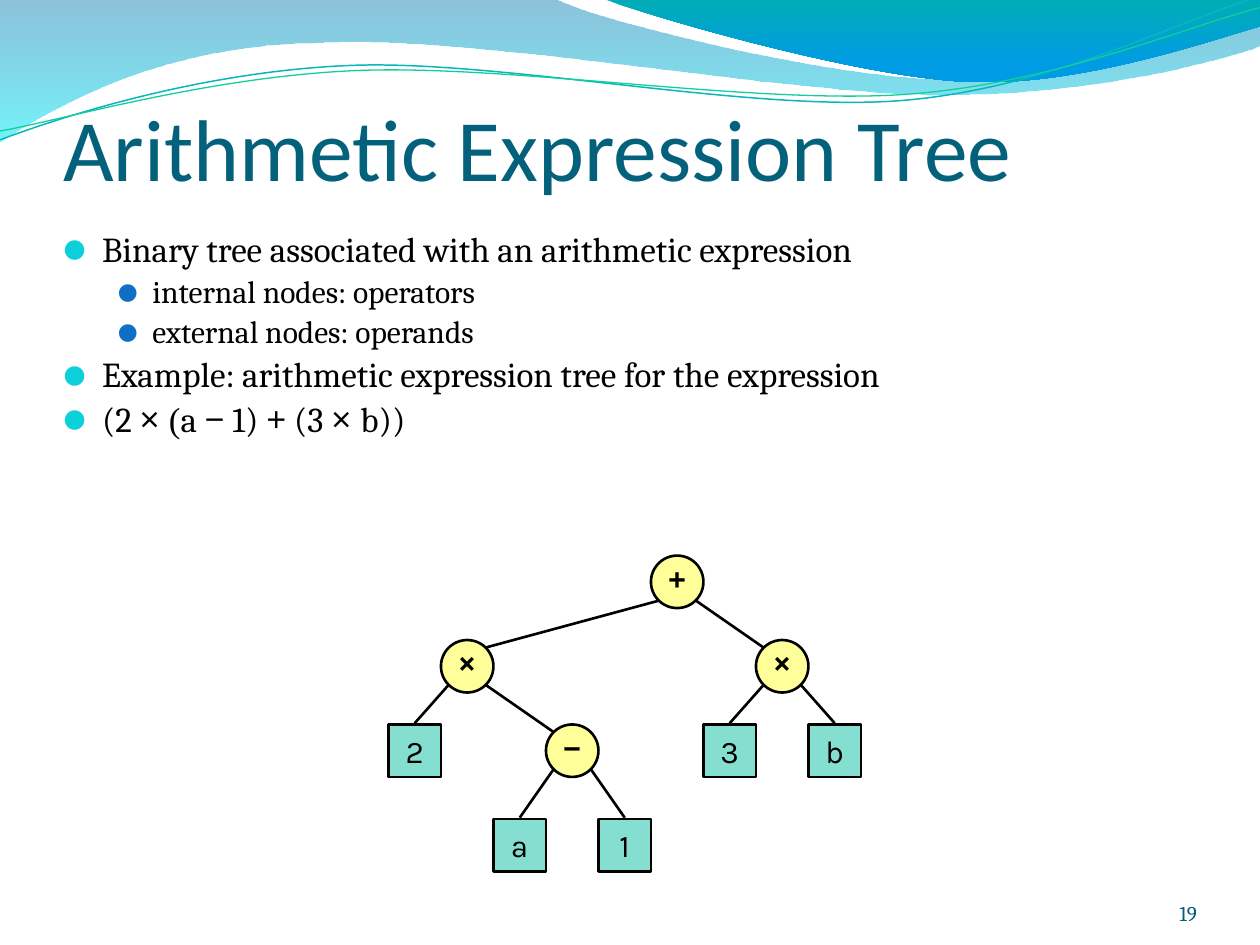
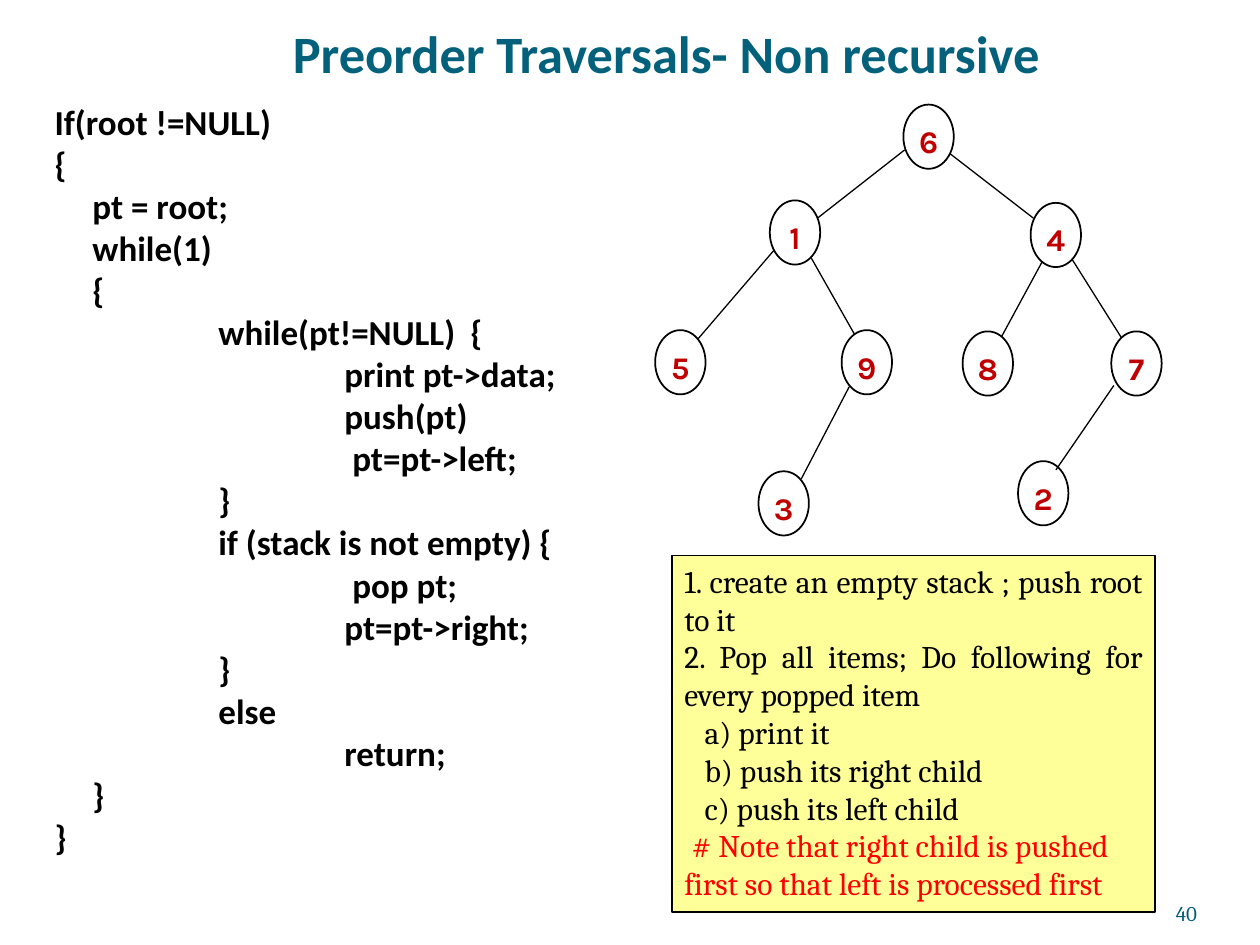
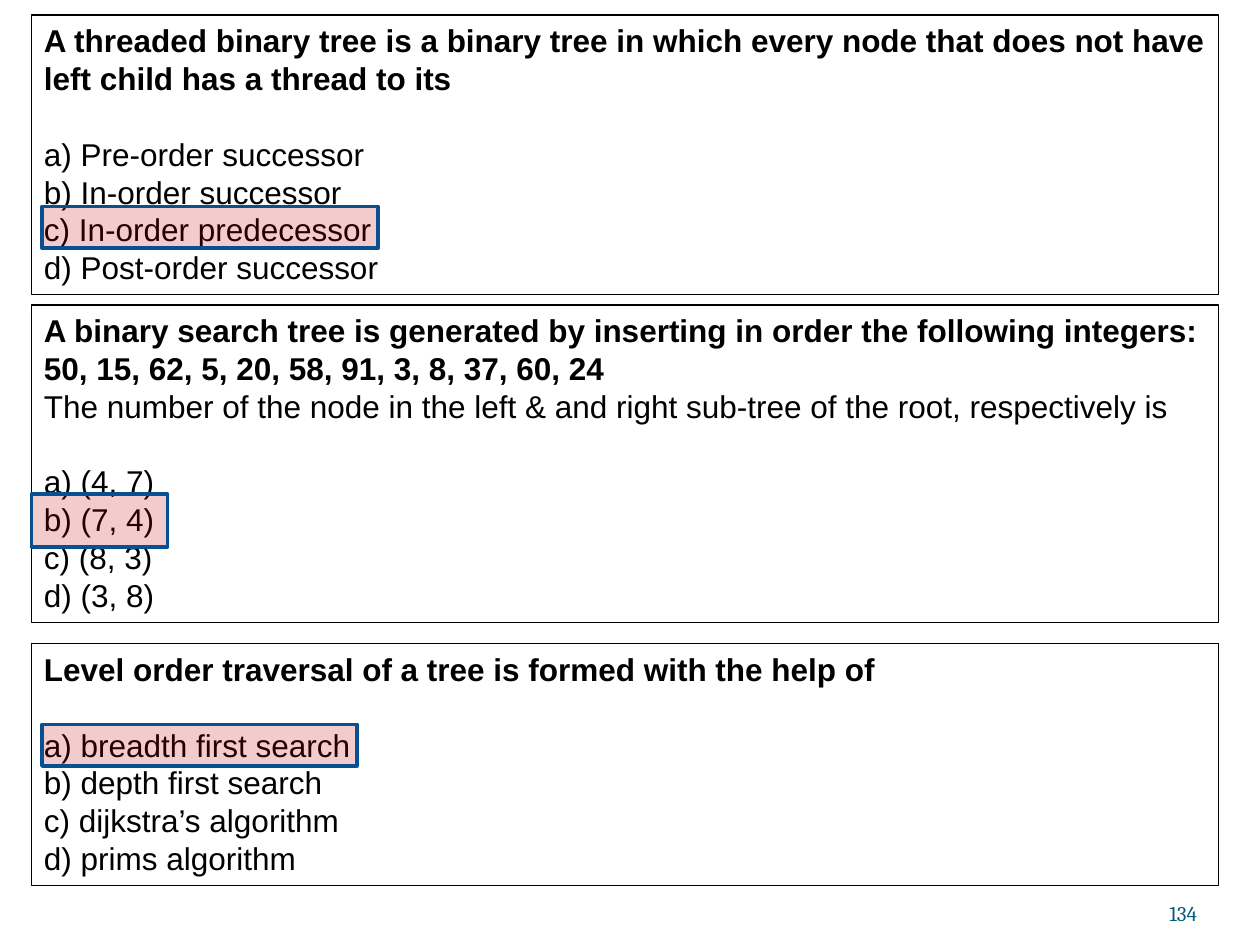
import math

import pptx
import pptx.dml.color
import pptx.enum.shapes
import pptx.enum.text
import pptx.oxml.ns
import pptx.util
from lxml import etree

RGBColor = pptx.dml.color.RGBColor
Inches = pptx.util.Inches
Pt = pptx.util.Pt
Shape = pptx.enum.shapes.MSO_SHAPE
Align = pptx.enum.text.PP_ALIGN
Anchor = pptx.enum.text.MSO_ANCHOR
qn = pptx.oxml.ns.qn

BLACK = RGBColor(0x00, 0x00, 0x00)
TITLE_BLUE = RGBColor(0x04, 0x61, 0x7B)
NUMBER_BLUE = RGBColor(0x04, 0x5C, 0x75)
BULLET_COLORS = (RGBColor(0x0B, 0xD0, 0xD9), RGBColor(0x0F, 0x6F, 0xC6))
YELLOW = RGBColor(0xFF, 0xFF, 0x99)
MINT = RGBColor(0x85, 0xDF, 0xD0)
DARK_RED = RGBColor(0xC0, 0x00, 0x00)
NOTE_RED = RGBColor(0xFF, 0x00, 0x00)
FRAME_BLUE = RGBColor(0x08, 0x50, 0x91)
WAVE_STEEL = RGBColor(0x00, 0x79, 0xAF)
WAVE_CYAN = RGBColor(0x00, 0xEB, 0xF8)
WAVE_TEAL = RGBColor(0x00, 0xAD, 0xB6)
WAVE_BLUE = RGBColor(0x00, 0x9B, 0xE5)
LINE_TEAL = RGBColor(0x09, 0xB6, 0xBE)
LINE_GREEN = RGBColor(0x10, 0xCF, 0x9B)


def style_shape(shape, fill, line, width):
    """Give a shape a fill and an outline, without shadow or text margins."""
    shape.shadow.inherit = False
    if fill is None:
        shape.fill.background()
    else:
        shape.fill.solid()
        shape.fill.fore_color.rgb = fill
    shape.line.color.rgb = line
    shape.line.width = Pt(width)
    frame = shape.text_frame
    frame.margin_left = frame.margin_right = frame.margin_top = frame.margin_bottom = 0


def style_text(paragraph, font, size, color=BLACK, bold=False, align=Align.LEFT):
    paragraph.alignment = align
    for span in paragraph.runs:
        span.font.name = font
        span.font.size = Pt(size)
        span.font.color.rgb = color
        span.font.bold = bold


deck = pptx.Presentation()
deck.slide_width, deck.slide_height = Inches(10), Inches(7.5)
list_layout, blank_layout = deck.slide_layouts[1], deck.slide_layouts[6]
expression_page = deck.slides.add_slide(list_layout)
preorder_page = deck.slides.add_slide(list_layout)
quiz_page = deck.slides.add_slide(blank_layout)

# Titles and places of the list placeholders
headings = [
    (expression_page, "Arithmetic Expression Tree", (0.5, 0.33, 9, 1.25), 50, False, Align.LEFT,
     (0.41, 1.79, 9.25, 2.04)),
    (preorder_page, "Preorder Traversals- Non recursive", (0.75, -0.08, 9.08, 0.75), 30, True,
     Align.CENTER, (1 / 3, 0.75, 5.42, 6.33)),
]
for page, heading, title_place, size, bold, align, body_place in headings:
    title, body = page.shapes.title, page.placeholders[1]
    for holder, place in ((title, title_place), (body, body_place)):
        holder.left, holder.top, holder.width, holder.height = map(Inches, place)
        holder.text_frame.auto_size = pptx.enum.text.MSO_AUTO_SIZE.NONE
    frame = title.text_frame
    frame.text = heading
    frame.vertical_anchor = Anchor.BOTTOM
    frame.margin_left = frame.margin_right = frame.margin_bottom = 0
    style_text(frame.paragraphs[0], "Calibri", size, TITLE_BLUE, bold, align)

# Waves: a start, then straight runs (one point) and Bézier curves (three points)
WAVE_CENTER = complex(4.99, 0.58)
waves = [
    ([[(0, -0.01)], [(4.4, -0.01)], [(4.76, 0.17), (6.64, 0.63), (7.58, 0.63)],
      [(8.53, 0.63), (9.58, 0.26), (10, 0.09)], [(10.01, 0.36)],
      [(9.83, 0.44), (8.7, 0.76), (7.46, 0.75)], [(6.22, 0.75), (3.82, 0.28), (2.57, 0.34)],
      [(1.29, 0.35), (0.46, 0.83), (-0.01, 1.13)]],
     [(WAVE_STEEL, 0, 45), (WAVE_CYAN, 1, 55)], None, 0),
    ([[(4.79, -0.01)], [(5.09, 0.11), (6.82, 0.62), (7.69, 0.65)],
      [(8.56, 0.69), (9.61, 0.32), (10, 0.21)], [(10, 0)]],
     [(WAVE_TEAL, 0, 100), (WAVE_BLUE, 0.8, 100)], None, 0),
    ([[(0, 1.11)], [(0.48, 0.93), (1.58, 0.57), (2.77, 0.52)],
      [(3.95, 0.47), (5.93, 0.89), (7.13, 0.8)], [(8.33, 0.71), (9.38, 0.15), (9.98, -0.02)]],
     None, (LINE_TEAL, 0.85), -2.7),
    ([[(0, 1.04)], [(0.47, 0.96), (1.64, 0.61), (2.83, 0.56)],
      [(4.03, 0.51), (5.97, 0.83), (7.17, 0.75)], [(8.36, 0.67), (9.41, 0.21), (10, 0.06)]],
     None, (LINE_GREEN, 0.75), -2.7),
]
for steps, stops, stroke, tilt in waves:
    angle = math.radians(-tilt)
    turn = complex(math.cos(angle), math.sin(angle))
    level_steps = []
    for step in steps:
        turned = [(complex(x, y) - WAVE_CENTER) * turn + WAVE_CENTER for x, y in step]
        level_steps.append([(Inches(point.real), Inches(point.imag)) for point in turned])
    ends = [step[-1] for step in level_steps]
    builder = expression_page.shapes.build_freeform(*ends[0])
    builder.add_line_segments(ends[1:], close=stops is not None)
    wave = builder.convert_to_shape()
    for segment, step in zip(list(wave._element.iter(qn("a:lnTo"))), level_steps[1:]):
        if len(step) == 3:
            curve = etree.Element(qn("a:cubicBezTo"))
            for x, y in step:
                etree.SubElement(curve, qn("a:pt"), x=str(x - wave.left), y=str(y - wave.top))
            segment.getparent().replace(segment, curve)
    wave.rotation = tilt
    wave.shadow.inherit = False
    if stops:
        wave.line.fill.background()
        wave.fill.gradient()
        wave.fill.gradient_angle = 270
        for stop, (color, position, _) in zip(wave.fill.gradient_stops, stops):
            stop.color.rgb = color
            stop.position = position
        for node, (_, _, opacity) in zip(wave._element.iter(qn("a:srgbClr")), stops):
            etree.SubElement(node, qn("a:alpha"), val=str(opacity * 1000))
    else:
        wave.fill.background()
        wave.line.color.rgb, wave.line.width = stroke[0], Pt(stroke[1])
    expression_page.shapes.title._element.addprevious(wave._element)

# Bullet list of the expression slide
bullets = [
    (0, "Binary tree associated with an arithmetic expression"),
    (1, "internal nodes: operators"),
    (1, "external nodes: operands"),
    (0, "Example: arithmetic expression tree for the expression"),
    (0, ""),
]
formula = [("(2 ", "Cambria"), ("× ", "Open Sans"), ("(", "Times New Roman"), ("a ", "Cambria"),
           ("−", "Open Sans"), (" 1) ", "Cambria"), ("+", "Open Sans"), (" (3 ", "Cambria"),
           ("× ", "Open Sans"), ("b))", "Cambria")]
frame = expression_page.placeholders[1].text_frame
frame.text = "\n".join(text for _, text in bullets)
for text, _ in formula:
    frame.paragraphs[-1].add_run().text = text
for i, (para, (level, _)) in enumerate(zip(frame.paragraphs, bullets)):
    para.level = level
    para.line_spacing = 0.9
    para.space_before = Pt((4, 3.6)[level] if i else 0)
    style_text(para, "Cambria", (20, 18)[level])
    properties = para._p.get_or_add_pPr()
    properties.set("marL", str(Inches((0.3, 0.7)[level])))
    properties.set("indent", str(-Inches((0.3, 0.27)[level])))
    bullet_color = etree.SubElement(properties, qn("a:buClr"))
    etree.SubElement(bullet_color, qn("a:srgbClr"), val=str(BULLET_COLORS[level]))
    etree.SubElement(properties, qn("a:buChar"), char="⚫")
for span, (_, font) in zip(frame.paragraphs[-1].runs, formula):
    span.font.name = font

# Expression tree: label, column, row, parent; parents come before children
COLUMN = NODE = 10 / 24
TREE_LEFT, ROW_TOPS = 7.4 * COLUMN, (4.41, 5.08, 5.75, 6.5)
DIAGONAL = 0.15
expression_nodes = [
    ("+", 5, 0, None), ("×", 7, 1, 0), ("×", 1, 1, 0), ("−", 3, 2, 2), ("2", 0, 2, 2),
    ("a", 2, 3, 3), ("1", 4, 3, 3), ("3", 6, 2, 1), ("b", 8, 2, 1),
]
expression_tree = expression_page.shapes.add_group_shape().shapes
edges = []
centers = []
for label, column, row, parent in expression_nodes:
    left, top = TREE_LEFT + column * COLUMN, ROW_TOPS[row]
    operator = label in "+×−"
    node = expression_tree.add_shape(
        Shape.OVAL if operator else Shape.RECTANGLE,
        Inches(left), Inches(top), Inches(NODE), Inches(NODE))
    style_shape(node, YELLOW if operator else MINT, BLACK, 1.5)
    frame = node.text_frame
    frame.text = label
    frame.vertical_anchor = Anchor.MIDDLE
    frame.word_wrap = False
    frame.margin_bottom = Inches(0.05 if operator else 0)
    style_text(frame.paragraphs[0], "Open Sans" if operator else "Karla", 18, bold=operator,
               align=Align.CENTER)
    x, y = left + NODE / 2, top + NODE / 2
    centers.append((x, y))
    if parent is not None:
        parent_x, parent_y = centers[parent]
        shift = math.copysign(DIAGONAL, x - parent_x)
        end = (x - shift, y - DIAGONAL) if operator else (x, top - 0.01)
        edges.append((expression_tree, 1.5, (parent_x + shift, parent_y + DIAGONAL, *end)))

# Code of the traversal: indent step and line
CODE_INDENTS = (0, 0.3, 1.3, 2.3)
code = [
    (0, "If(root !=NULL)"), (0, "{"), (1, "pt = root;"), (1, "while(1)"), (1, "{"),
    (2, "while(pt!=NULL) \t{"), (3, "print pt->data;"), (3, "push(pt)"), (3, " pt=pt->left;"),
    (2, "}"), (2, "if (stack is not empty) {"), (3, " pop pt;"), (3, "pt=pt->right;"), (2, "}"),
    (2, "else"), (3, "return;"), (1, "}"), (0, "}"),
]
frame = preorder_page.placeholders[1].text_frame
frame.text = "\n".join(text for _, text in code)
for para, (step, _) in zip(frame.paragraphs, code):
    para.space_before = 0
    para.line_spacing = Pt(24)
    style_text(para, "Calibri", 20, bold=True)
    properties = para._p.get_or_add_pPr()
    properties.set("marL", str(Inches(CODE_INDENTS[step])))
    properties.set("indent", "0")
    etree.SubElement(properties, qn("a:buNone"))

# Tree to traverse: left and top of each node, then the ends of each edge
NODE_WIDTH, NODE_HEIGHT = 0.4, 0.51
LABEL_WIDTH, LABEL_HEIGHT = 0.46, 0.41
traversal_nodes = [
    ("6", 7.17, 0.83), ("1", 6.11, 1.59), ("4", 8.18, 1.61), ("5", 5.2, 2.62), ("9", 6.68, 2.62),
    ("3", 6.02, 3.74), ("2", 8.08, 3.66), ("7", 8.82, 2.63), ("8", 7.64, 2.63),
]
traversal_edges = [
    (7.18, 1.19, 6.49, 1.73), (7.54, 1.22, 8.2, 1.73), (6.14, 1.99, 5.54, 2.69),
    (6.44, 2.05, 6.78, 2.65), (8.27, 2.08, 7.95, 2.67), (8.51, 2.06, 8.9, 2.68),
    (8.84, 3.06, 8.38, 3.73), (6.74, 3.07, 6.36, 3.8),
]
traversal_tree = preorder_page.shapes.add_group_shape().shapes
for label, left, top in traversal_nodes:
    node = traversal_tree.add_shape(
        Shape.OVAL, Inches(left), Inches(top), Inches(NODE_WIDTH), Inches(NODE_HEIGHT))
    style_shape(node, None, BLACK, 1)
    box = traversal_tree.add_textbox(
        Inches(left + (NODE_WIDTH - LABEL_WIDTH) / 2), Inches(top + 0.09),
        Inches(LABEL_WIDTH), Inches(LABEL_HEIGHT))
    frame = box.text_frame
    frame.text = label
    frame.word_wrap = True
    style_text(frame.paragraphs[0], "Karla", 18, DARK_RED, True, Align.CENTER)
edges += [(traversal_tree, 0.75, ends) for ends in traversal_edges]

for tree, width, ends in edges:
    edge = tree.add_connector(pptx.enum.shapes.MSO_CONNECTOR.STRAIGHT, *map(Inches, ends))
    edge.line.color.rgb = BLACK
    edge.line.width = Pt(width)
    etree.SubElement(edge._element.spPr, qn("a:effectLst"))

# Framed texts; each paragraph has an alignment, colour, weight, left and first indent, gap
LINE_PITCH = 21.6
justified = (Align.JUSTIFY, BLACK, False, 0, 0, 0)
step = (Align.LEFT, BLACK, False, 0.16, 0, 0)
note = (Align.LEFT, NOTE_RED, False, 0, 0.06, 0)
question = (Align.LEFT, BLACK, True, 0, 0, 0)
remark = (Align.LEFT, BLACK, False, 0, 0, 0)
options = (Align.LEFT, BLACK, False, 0, 0, LINE_PITCH)
framed_texts = [
    (preorder_page, (16 / 3, 4.41, 23 / 6, 2.83), YELLOW, "Cambria", [
        ("1. create an empty stack ; push root to it", justified),
        ("2. Pop all items; Do following for every popped item", justified),
        ("a) print it", step),
        ("b) push its right child", step),
        ("c) push its left child", step),
        ("# Note that right child is pushed first so that left is processed first", note)]),
    (quiz_page, (0.25, 0.12, 9.42, 2.22), None, "Arial", [
        ("A threaded binary tree is a binary tree in which every node that does not have "
         "left child has a thread to its", question),
        ("a) Pre-order successor\vb) In-order successor\vc) In-order predecessor\v"
         "d) Post-order successor", options)]),
    (quiz_page, (0.25, 2.42, 9.42, 2.52), None, "Arial", [
        ("A binary search tree is generated by inserting in order the following integers: "
         "50, 15, 62, 5, 20, 58, 91, 3, 8, 37, 60, 24", question),
        ("The number of the node in the left & and right sub-tree of the root, "
         "respectively is", remark),
        ("a) (4, 7)\vb) (7, 4)\vc) (8, 3)\vd) (3, 8)", options)]),
    (quiz_page, (0.25, 5.11, 9.42, 1.92), None, "Arial", [
        ("Level order traversal of a tree is formed with the help of", question),
        ("a) breadth first search\vb) depth first search\vc) dijkstra’s algorithm\v"
         "d) prims algorithm", options)]),
]
for page, place, fill, font, lines in framed_texts:
    box = page.shapes.add_shape(Shape.RECTANGLE, *map(Inches, place))
    style_shape(box, fill, BLACK, 0.75)
    frame = box.text_frame
    frame.word_wrap = True
    frame.vertical_anchor = Anchor.TOP
    frame.margin_left = frame.margin_right = Inches(0.1)
    frame.margin_top = frame.margin_bottom = Inches(0.05)
    frame.text = "\n".join(text for text, _ in lines)
    for para, (_, (align, color, bold, left, first, gap)) in zip(frame.paragraphs, lines):
        para.line_spacing = Pt(LINE_PITCH)
        para.space_before = Pt(gap)
        style_text(para, font, 18, color, bold, align)
        properties = para._p.get_or_add_pPr()
        properties.set("marL", str(Inches(left)))
        properties.set("indent", str(Inches(first)))

# Marks on the right answers
for place in ((1 / 3, 1.64, 8 / 3, 0.33), (0.25, 3.92, 1.08, 0.42), (1 / 3, 5.75, 2.5, 0.33)):
    mark = quiz_page.shapes.add_shape(Shape.RECTANGLE, *map(Inches, place))
    style_shape(mark, DARK_RED, FRAME_BLUE, 2)
    fill_color = mark._element.spPr.find(qn("a:solidFill")).find(qn("a:srgbClr"))
    etree.SubElement(fill_color, qn("a:alpha"), val="20000")

for page, number in ((expression_page, "19"), (preorder_page, "40"), (quiz_page, "134")):
    box = page.shapes.add_textbox(Inches(8.67), Inches(6.95), Inches(0.83), Inches(0.4))
    frame = box.text_frame
    frame.text = number
    frame.word_wrap = True
    frame.vertical_anchor = Anchor.BOTTOM
    frame.margin_left = frame.margin_right = frame.margin_top = frame.margin_bottom = 0
    style_text(frame.paragraphs[0], "Cambria", 12, NUMBER_BLUE, align=Align.RIGHT)

deck.save("out.pptx")
